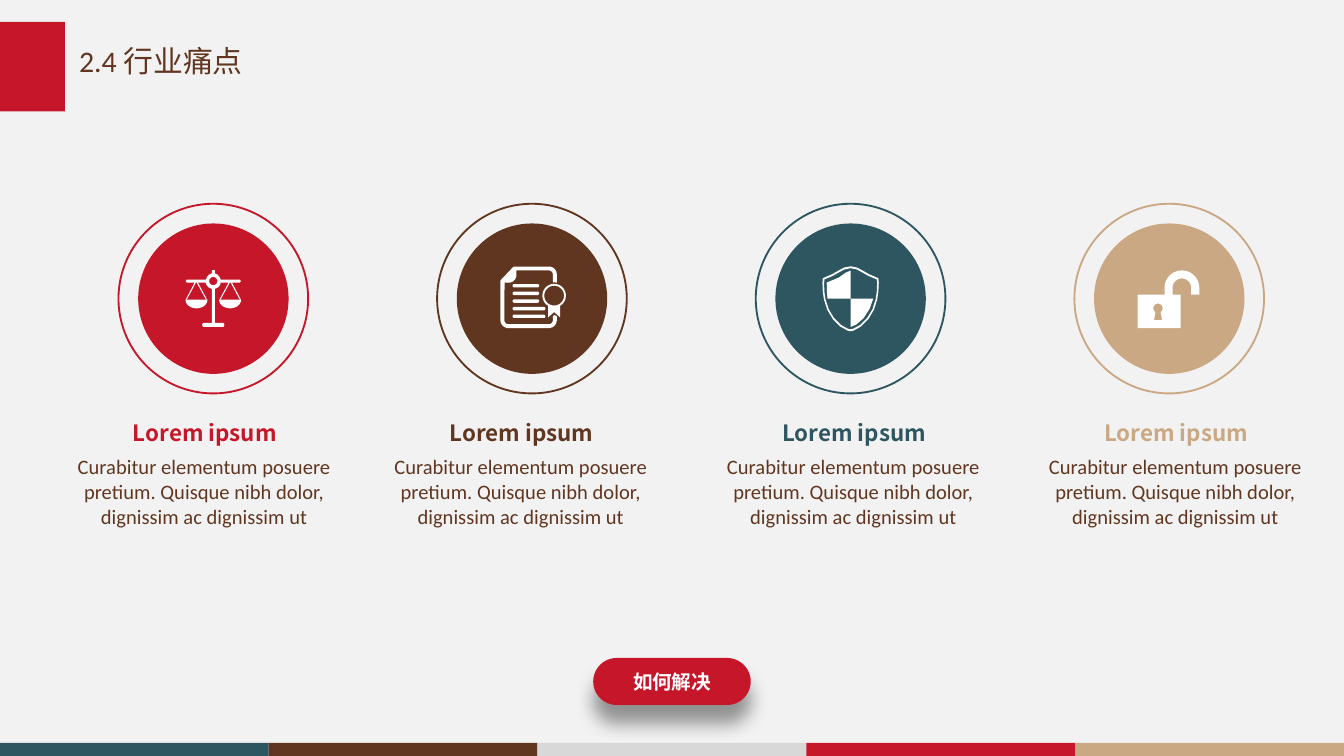
from dataclasses import dataclass
from math import cos, radians, sin

from lxml.etree import SubElement
from pptx import Presentation
from pptx.dml.color import RGBColor
from pptx.enum.shapes import MSO_SHAPE
from pptx.enum.text import MSO_ANCHOR, PP_ALIGN
from pptx.oxml import parse_xml
from pptx.oxml.ns import nsdecls, qn
from pptx.util import Pt


@dataclass(frozen=True)
class Theme:
    paper: str = "F2F2F2"
    red: str = "C51729"
    brown: str = "613620"
    teal: str = "2E5660"
    tan: str = "CAA884"
    grey: str = "D8D8D8"
    white: str = "FFFFFF"
    latin: str = "Calibri"
    chinese: str = "Noto Sans CJK SC"
    title_size: float = 16
    label_size: float = 12
    body_size: float = 11
    button_size: float = 10.5


theme = Theme()
deck = Presentation()
deck.slide_width, deck.slide_height = Pt(720), Pt(405)
page = deck.slides.add_slide(deck.slide_layouts[6])
page.background.fill.solid()
page.background.fill.fore_color.rgb = RGBColor.from_string(theme.paper)


def add_text(text, *, left, top, width, height, size, color, font=theme.latin,
             bold=False, align=PP_ALIGN.CENTER, wrap=True, anchor=MSO_ANCHOR.TOP, spacing=1.0):
    box = page.shapes.add_textbox(Pt(left), Pt(top), Pt(width), Pt(height))
    frame = box.text_frame
    frame.word_wrap, frame.vertical_anchor = wrap, anchor
    para = frame.paragraphs[0]
    para.alignment, para.line_spacing = align, spacing
    span = para.add_run()
    span.text = text
    span.font.name, span.font.size, span.font.bold = font, Pt(size), bold
    span.font.color.rgb = RGBColor.from_string(color)
    east_asian = SubElement(span.font._element, qn("a:ea"))
    east_asian.set("typeface", theme.chinese)


def add_figure(figure, left, top, width=0, height=0, fill=None, line=None):
    """Draw a preset, or a list of contours around (left, top).

    A contour holds points (x, y) and arcs (x, y, x radius, y radius, start, end).
    """
    if isinstance(figure, list):
        builder = None
        for contour in figure:
            points = []
            for item in contour:
                if len(item) == 2:
                    points.append(item)
                    continue
                x, y, radius_x, radius_y, start, end = item
                steps = max(8, abs(end - start) // 9)
                angles = [radians(start + (end - start) * i / steps) for i in range(steps + 1)]
                points += [(x + radius_x * cos(a), y + radius_y * sin(a)) for a in angles]
            points = [(Pt(left + x), Pt(top + y)) for x, y in points]
            if builder is None:
                builder = page.shapes.build_freeform(*points[0])
            else:
                builder.move_to(*points[0])
            builder.add_line_segments(points[1:], close=True)
        shape = builder.convert_to_shape()
    else:
        shape = page.shapes.add_shape(figure, Pt(left), Pt(top), Pt(width), Pt(height))
    shape.shadow.inherit = False
    if fill:
        shape.fill.solid()
        shape.fill.fore_color.rgb = RGBColor.from_string(fill)
    else:
        shape.fill.background()
    if line:
        shape.line.color.rgb = RGBColor.from_string(line)
        shape.line.width = Pt(1)
    else:
        shape.line.fill.background()
    return shape


# Footer stripe and title
for index, color in enumerate([theme.teal, theme.brown, theme.grey, theme.red, theme.tan]):
    add_figure(MSO_SHAPE.RECTANGLE, 144 * index, 398, 144, 7, fill=color)
add_figure(MSO_SHAPE.RECTANGLE, 0, 11.7, 34.8, 48, fill=theme.red)
add_text("2.4 行业痛点", left=35.3, top=19.6, width=127, height=28, size=theme.title_size,
         color=theme.brown, align=PP_ALIGN.LEFT, wrap=False, anchor=MSO_ANCHOR.MIDDLE, spacing=0.9)

# Icons: each is a list of figures, each figure a list of contours
half_scales = [
    (0, 15.2), (-5.5, 15.2), (-6, 14), (-5.5, 13), (-0.8, 13), (-0.8, -5.2), (-2.5, -6),
    (-3.7, -7.4), (-4, -8.6), (-8.2, -8.6), (-3.3, 0.6), (-3.9, 0.6), (-8.9, -8.6),
    (-9.3, -8.6), (-14.2, 0.6), (-14.8, 0.6), (-10, -8.6), (-14.2, -8.6), (-14.8, -9.4),
    (-14.2, -10.2), (-4, -10.2), (-3.3, -11.7), (-2.2, -12.9), (-0.8, -13.5), (-0.8, -15.3),
]
scales = [
    [[(-9, 0.6, 5.9, 4.6, 0, 180)]],
    [half_scales + [(-x, y) for x, y in reversed(half_scales)], [(0, -9.4, 2.2, 2.2, 0, 360)]],
    [[(9, 0.6, 5.9, 4.6, 0, 180)]],
]

certificate = [[[
    (12, 8.8), (13.3, 9.5), (9, 11.5, 4.3, 4.3, 0, 90), (-12.6, 11.5, 4.3, 4.3, 90, 180),
    (-16.9, -9.6), (-16.3, -10.4), (-10.4, -16.6), (-9.6, -17.2),
    (9, -12.9, 4.3, 4.3, 270, 360), (13.3, -8.6), (11.2, -8.7),
    (9, -12.9, 2.2, 2.2, 360, 270), (-8.3, -15.1), (-12.6, -12.8, 4.3, 4.3, 0, 90),
    (-14.7, -8.5), (-12.6, 11.5, 2.2, 2.2, 180, 90), (9, 11.5, 2.2, 2.2, 90, 0), (11.2, 9.4),
]]]
for row, line_end in enumerate([3, 3, 3, 6.3, 6.3]):
    y = -6.9 + 4.1 * row
    certificate.append([[(-9.5, y, 0.9, 0.9, 90, 270), (line_end, y, 0.9, 0.9, 270, 450)]])
certificate.append([
    [(11.9, -1.6, 6.3, 6.3, 120, 420), (15.1, 10), (11.9, 7.2), (8.7, 10)],
    [(11.9, -1.6, 5.3, 5.3, 0, 360)],
])

half_shield = [
    (0, -17.3), (3.5, -16.6), (6.5, -15), (10, -13), (14.9, -10.9), (15.1, -8.6), (14.9, -3.6),
    (14.3, 0.4), (12.5, 6), (9.5, 11), (5.5, 15), (1.5, 17.2), (0, 17.5),
]
rim = half_shield + [(-x, y) for x, y in reversed(half_shield)]
shield = [
    [rim, [(x * 0.94, y * 0.94) for x, y in rim]],
    [[(0, 0), (-12.4, 0), (-12.7, -3.6), (-12.8, -8.6), (-6.5, -11.2), (-2.5, -14), (0, -15)]],
    [[(0, 0), (12.2, 0), (10.2, 5.5), (7, 10.5), (3, 14), (0, 15.2)]],
]

padlock = [[
    [(6.8, -5.8, 9.3, 9.3, 180, 360), (16.1, -2.2), (11.8, -2.2), (6.8, -5.8, 5, 5, 360, 180),
     (1.8, -2.2), (6.1, -2.2), (6.1, 15.8), (-16.9, 15.8), (-16.9, -2.2), (-2.5, -2.2)],
    [(-6, 5.2, 2.5, 2.5, 125, 415), (-3.9, 11.5), (-8.1, 11.5)],
]]

# Four pain points; the text columns are placed by hand
columns = [
    (theme.red, scales, 33.8),
    (theme.brown, certificate, 203.4),
    (theme.teal, shield, 381.6),
    (theme.tan, padlock, 554.1),
]
center_y = 160
for index, (color, icon, text_left) in enumerate(columns):
    center_x = 114.3 + 170.7 * index
    add_figure(MSO_SHAPE.OVAL, center_x - 40.3, center_y - 40.3, 80.6, 80.6, fill=color)
    add_figure(MSO_SHAPE.OVAL, center_x - 50.8, center_y - 50.8, 101.6, 101.6, line=color)
    for figure in icon:
        add_figure(figure, center_x, center_y, fill=theme.white)
    add_text("Lorem ipsum", left=text_left + 29, top=221, width=94, height=21.8,
             size=theme.label_size, color=color, font=theme.chinese, bold=True, wrap=False)
    add_text("Curabitur elementum posuere pretium. Quisque nibh dolor, dignissim ac dignissim ut",
             left=text_left, top=239.8, width=151.2, height=47.5,
             size=theme.body_size, color=theme.brown)

# Button
button = add_figure(MSO_SHAPE.ROUNDED_RECTANGLE, 317.8, 352.5, 84.4, 25.2, fill=theme.red)
button.adjustments[0] = 0.5
effects = button._element.spPr.find(qn("a:effectLst"))
effects.append(parse_xml(
    f'<a:outerShdw {nsdecls("a")} blurRad="{Pt(10)}" dist="{Pt(10)}" dir="5400000" algn="t" '
    'rotWithShape="0"><a:srgbClr val="000000"><a:alpha val="40000"/></a:srgbClr></a:outerShdw>'))
add_text("如何解决", left=331.5, top=355, width=57, height=20.2, size=theme.button_size,
         color=theme.white, bold=True, wrap=False, anchor=MSO_ANCHOR.MIDDLE)

deck.save("out.pptx")
